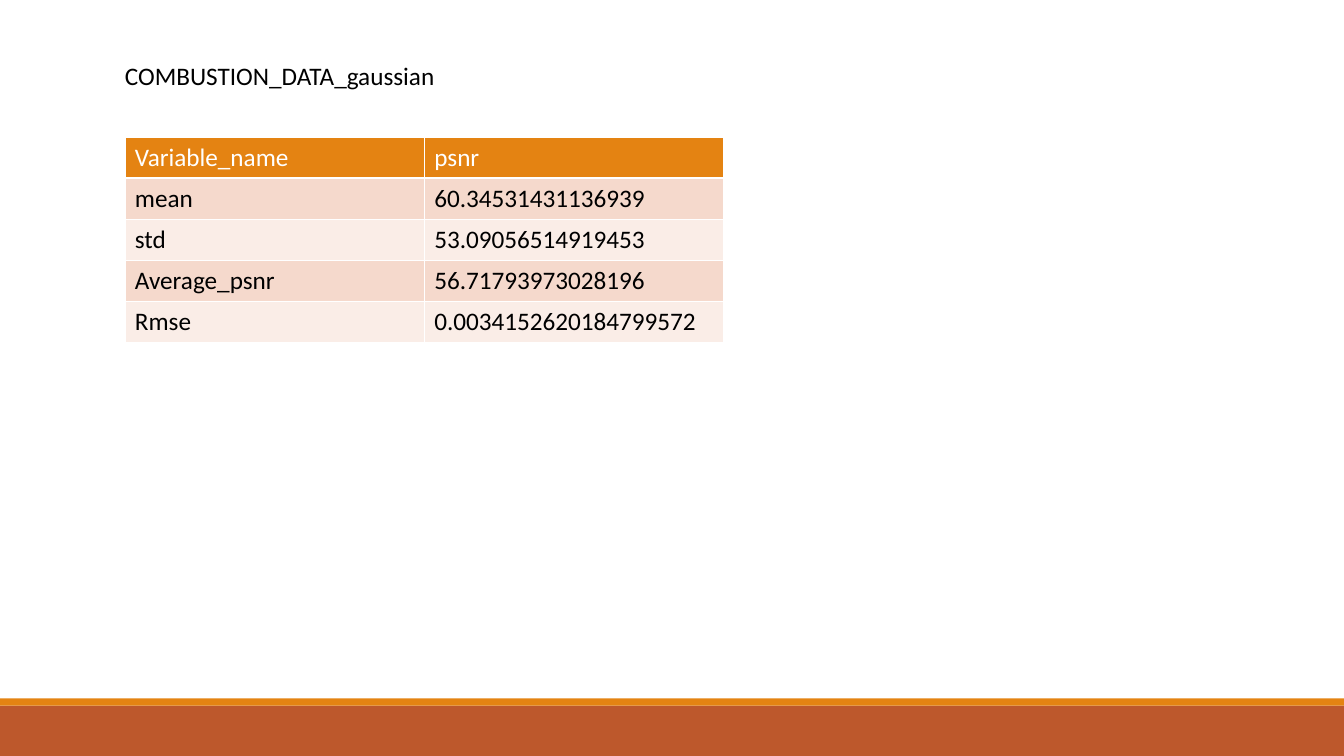
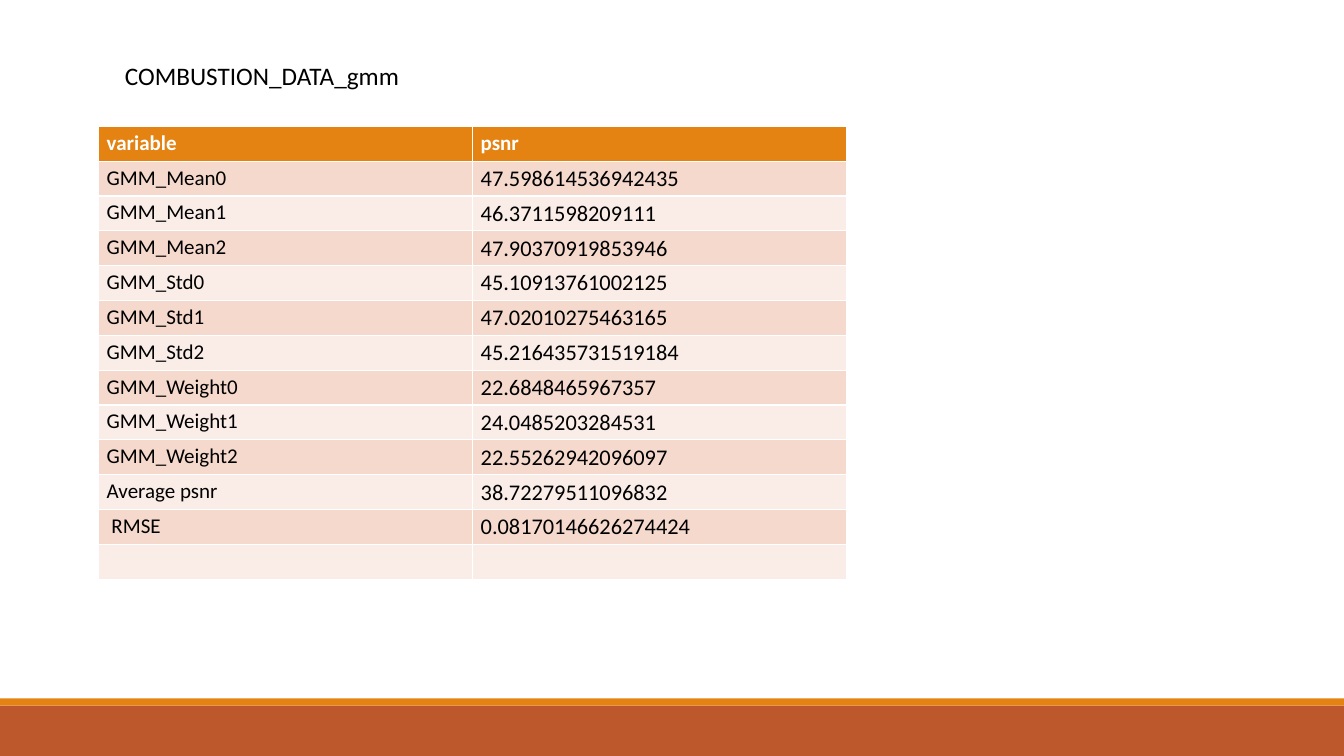
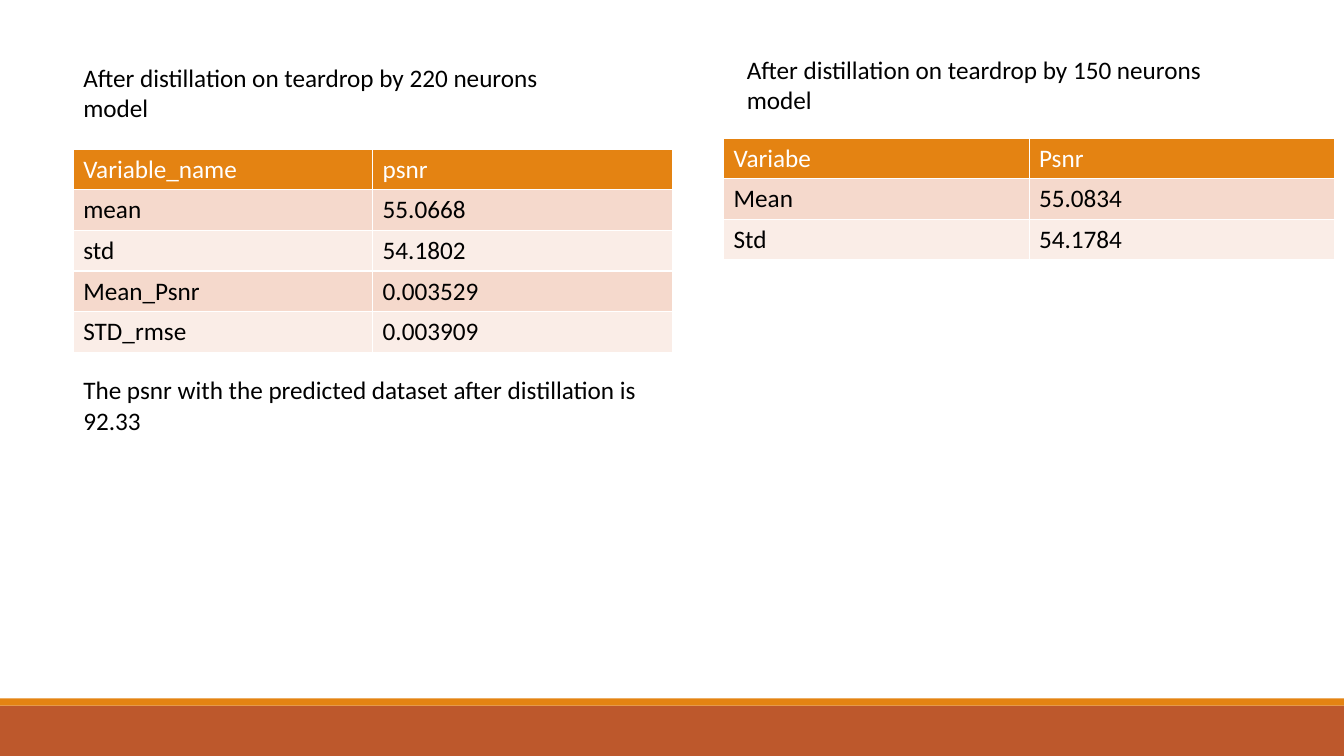
from pptx import Presentation
from pptx.dml.color import RGBColor
from pptx.enum.shapes import MSO_SHAPE as Preset
from pptx.oxml.ns import qn
from pptx.util import Cm, Pt
from lxml.etree import SubElement

COLORS = {
    "rust": "BD582C",
    "orange": "E48312",
    "band_dark": "F5D9CC",
    "band_light": "FAEDE7",
    "white": "FFFFFF",
    "black": "000000",
}
FONT = "Calibri"
FOOTER_BANDS = [("rust", 17.78, 1.27), ("orange", 17.6, 0.18)]
BODY = {"sizes": (18, 18), "header_size": 18, "header_bold": False, "row": 1.02, "margins": (0.25, 0.13)}
COMPACT = {"sizes": (15, 16), "header_size": 15, "header_bold": True, "row": 0.87, "margins": (0.2, 0.1)}

SLIDES = [
    {
        "notes": [("COMBUSTION_DATA_gaussian", 2.9, 1.4, 15.6, 1.02)],
        "tables": [
            (3.15, 3.45, 15.09, BODY, [
                ("Variable_name", "psnr"),
                ("mean", "60.34531431136939"),
                ("std", "53.09056514919453"),
                ("Average_psnr", "56.71793973028196"),
                ("Rmse", "0.0034152620184799572"),
            ]),
        ],
    },
    {
        "notes": [("COMBUSTION_DATA_gmm", 2.9, 1.4, 15.6, 1.02)],
        "tables": [
            (2.49, 3.19, 18.85, COMPACT, [
                ("variable", "psnr"),
                ("GMM_Mean0", "47.598614536942435"),
                ("GMM_Mean1", "46.3711598209111"),
                ("GMM_Mean2", "47.90370919853946"),
                ("GMM_Std0", "45.10913761002125"),
                ("GMM_Std1", "47.02010275463165"),
                ("GMM_Std2", "45.216435731519184"),
                ("GMM_Weight0", "22.6848465967357"),
                ("GMM_Weight1", "24.0485203284531"),
                ("GMM_Weight2", "22.55262942096097"),
                ("Average psnr", "38.72279511096832"),
                (" RMSE", "0.08170146626274424"),
                ("", ""),
            ]),
        ],
    },
    {
        "notes": [
            ("After distillation on teardrop by 220 neurons model", 1.85, 1.45, 12.47, 1.8),
            ("The psnr with the predicted dataset after distillation is 92.33", 1.85, 9.32, 14.55, 1.8),
            ("After distillation on teardrop by 150 neurons model", 18.57, 1.24, 12.47, 1.8),
        ],
        "tables": [
            (1.85, 3.76, 15.09, BODY, [
                ("Variable_name", "psnr"),
                ("mean", "55.0668"),
                ("std", "54.1802"),
                ("Mean_Psnr", "0.003529"),
                ("STD_rmse", "0.003909"),
            ]),
            (18.24, 3.48, 15.39, BODY, [
                ("Variabe", "Psnr"),
                ("Mean", "55.0834"),
                ("Std", "54.1784"),
            ]),
        ],
    },
]


def write(frame, text, size, color, bold=False):
    paragraph = frame.paragraphs[0]
    if not text:
        SubElement(paragraph._p, qn("a:endParaRPr"), sz=str(size * 100))
        return
    run = paragraph.add_run()
    run.text = text
    for attribute, value in {"name": FONT, "size": Pt(size), "bold": bold}.items():
        setattr(run.font, attribute, value)
    run.font.color.rgb = RGBColor.from_string(COLORS[color])


def paint(fill, color):
    fill.solid()
    fill.fore_color.rgb = RGBColor.from_string(COLORS[color])


deck = Presentation()
deck.slide_width, deck.slide_height = Cm(33.87), Cm(19.05)

for content in SLIDES:
    slide = deck.slides.add_slide(deck.slide_layouts[6])

    for color, top, height in FOOTER_BANDS:
        band = slide.shapes.add_shape(Preset.RECTANGLE, 0, Cm(top), deck.slide_width, Cm(height))
        band.shadow.inherit = False
        band.line.fill.background()
        paint(band.fill, color)

    for left, top, width, style, rows in content["tables"]:
        table = slide.shapes.add_table(
            len(rows), 2, Cm(left), Cm(top), Cm(width), Cm(style["row"] * len(rows))
        ).table
        side, edge = (Cm(margin) for margin in style["margins"])
        margins = {"margin_left": side, "margin_right": side, "margin_top": edge, "margin_bottom": edge}
        for row_index, texts in enumerate(rows):
            header = row_index == 0
            band_color = "band_dark" if row_index % 2 else "band_light"
            for column, text in enumerate(texts):
                cell = table.cell(row_index, column)
                paint(cell.fill, "orange" if header else band_color)
                for attribute, value in margins.items():
                    setattr(cell, attribute, value)
                size = style["header_size"] if header else style["sizes"][column]
                write(cell.text_frame, text, size, "white" if header else "black",
                      header and style["header_bold"])

    for text, left, top, width, height in content["notes"]:
        frame = slide.shapes.add_textbox(Cm(left), Cm(top), Cm(width), Cm(height)).text_frame
        frame.word_wrap = True
        write(frame, text, 18, "black")

deck.save("out.pptx")
